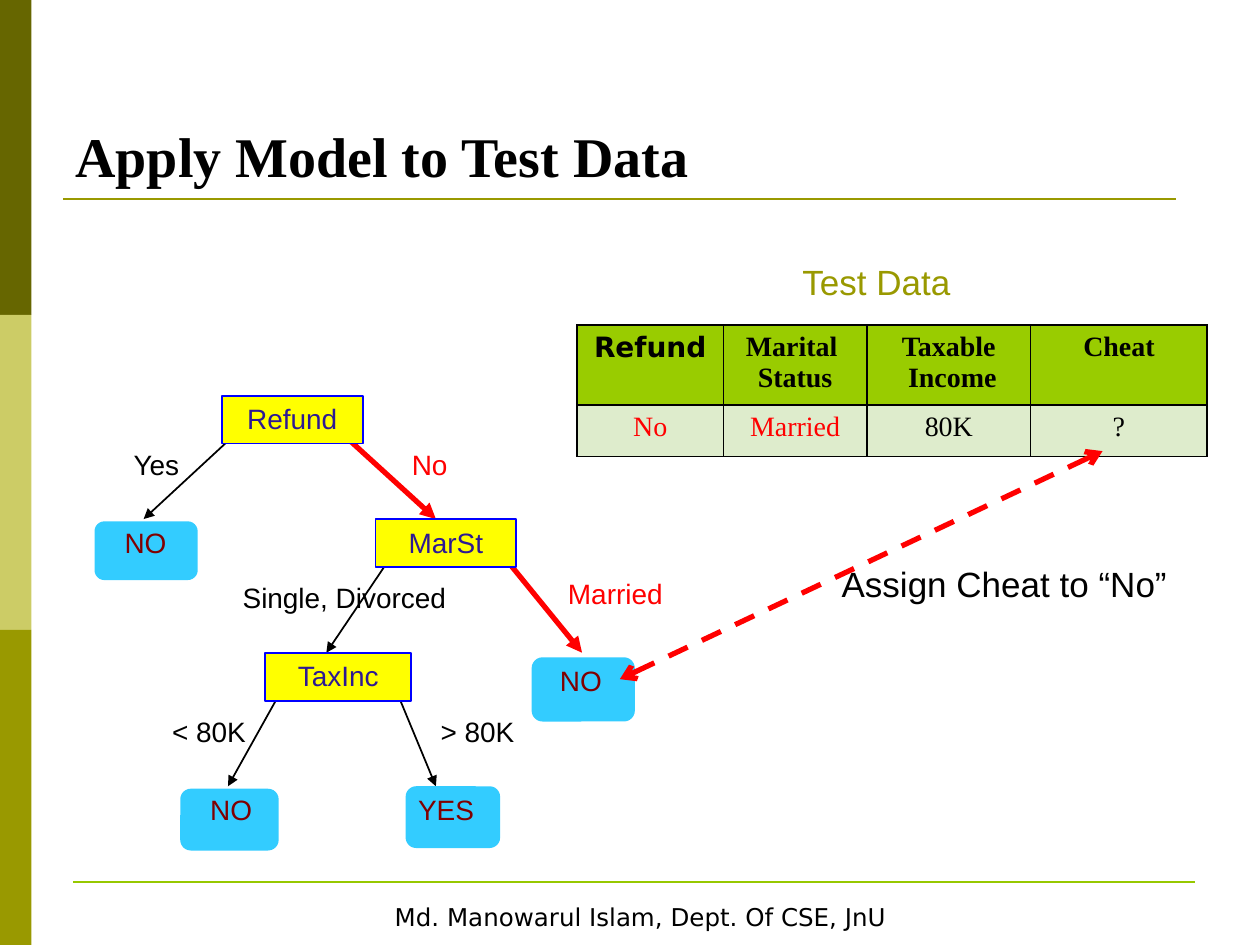
from lxml import etree
from pptx import Presentation
from pptx.dml.color import RGBColor
from pptx.enum.dml import MSO_LINE
from pptx.enum.shapes import MSO_CONNECTOR, MSO_SHAPE
from pptx.enum.text import MSO_ANCHOR, PP_ALIGN
from pptx.oxml.ns import qn
from pptx.util import Pt

LEFT, CENTER, RIGHT = PP_ALIGN.LEFT, PP_ALIGN.CENTER, PP_ALIGN.RIGHT
TOP, MIDDLE, BOTTOM = MSO_ANCHOR.TOP, MSO_ANCHOR.MIDDLE, MSO_ANCHOR.BOTTOM
RECT, ROUNDED = MSO_SHAPE.RECTANGLE, MSO_SHAPE.ROUNDED_RECTANGLE
STRAIGHT, DASH = MSO_CONNECTOR.STRAIGHT, MSO_LINE.DASH
SANS, SERIF, WIDE = "Arial", "Times New Roman", "DejaVu Sans"

COLORS = {
    "black": "000000", "white": "FFFFFF", "red": "FF0000",
    "dark olive": "666600", "pale olive": "CCCC66", "olive": "999900",
    "footer rule": "96C800", "node": "FFFF00", "node edge": "0000FF",
    "node text": "2D1993", "leaf": "33CCFF", "leaf text": "800000",
    "header": "99CC00", "record": "DEECCC",
}
RGB = {name: RGBColor.from_string(value) for name, value in COLORS.items()}

prs = Presentation()
prs.slide_width, prs.slide_height = Pt(720), Pt(540)
slide = prs.slides.add_slide(prs.slide_layouts[6])
shapes = slide.shapes


def write(frame, text, size=16, font=SANS, color="black", bold=False,
          align=CENTER, anchor=TOP, wrap=True, spacing=None):
    if wrap is not None:
        frame.word_wrap = wrap
        frame.vertical_anchor = anchor
    for number, line in enumerate(text.split("\n")):
        paragraph = frame.paragraphs[0] if number == 0 else frame.add_paragraph()
        paragraph.alignment = align
        if spacing:
            paragraph.line_spacing = spacing
        run = paragraph.add_run()
        run.text = line
        run.font.size = Pt(size)
        run.font.name = font
        run.font.bold = bold
        run.font.color.rgb = RGB[color]


def draw_line(start, end, color, width, heads=(), kind=None, dash=None):
    line = shapes.add_connector(STRAIGHT, *map(Pt, start + end))
    line.line.color.rgb = RGB[color]
    line.line.width = Pt(width)
    if dash:
        line.line.dash_style = dash
    outline = line.line._get_or_add_ln()
    for head in heads:
        etree.SubElement(outline, qn(f"a:{head}"), type=kind)
    etree.SubElement(line._element.spPr, qn("a:effectLst"))


for band, color in enumerate(["dark olive", "pale olive", "olive"]):
    stripe = shapes.add_shape(RECT, 0, Pt(180 * band), Pt(18), Pt(180))
    stripe.shadow.inherit = False
    stripe.fill.solid()
    stripe.fill.fore_color.rgb = RGB[color]
    stripe.line.fill.background()

draw_line((36, 113.8), (672, 113.8), "olive", 1.5)
draw_line((42, 504), (682.6, 504), "footer rule", 1.5)

footer = shapes.add_shape(RECT, Pt(36), Pt(511.2), Pt(660), Pt(25.2))
footer.shadow.inherit = False
footer.fill.solid()
footer.fill.fore_color.rgb = RGB["white"]
footer.line.color.rgb = RGB["white"]
footer.line.width = Pt(2)
write(footer.text_frame, "Md. Manowarul Islam, Dept. Of CSE, JnU", size=14,
      font=WIDE, anchor=MIDDLE, wrap=False)

title = shapes.add_textbox(Pt(36), Pt(21.6), Pt(648), Pt(90))
write(title.text_frame, "Apply Model to Test Data", size=32, font=SERIF,
      bold=True, align=LEFT, anchor=BOTTOM)

branches = [
    ((228.2, 398.9), (249.1, 449.3), "black", 1),
    ((158.4, 398.9), (130.3, 449.3), "black", 1),
    ((221, 321.8), (186.5, 373), "black", 1),
    ((290.9, 321.8), (332.6, 373), "red", 3),
    ((200.2, 252), (249.1, 296.6), "red", 3),
    ((130.3, 252), (82.1, 296.6), "black", 1),
]
for start, end, color, width in branches:
    draw_line(start, end, color, width, heads=["tailEnd"], kind="triangle")

nodes = [("Refund", 126.7, 226.1, 80.6), ("MarSt", 214.5, 296.6, 80.6),
         ("TaxInc", 151.6, 373, 83.5)]
for attribute, left, top, width in nodes:
    node = shapes.add_shape(RECT, Pt(left), Pt(top), Pt(width), Pt(27.4))
    node.shadow.inherit = False
    node.fill.solid()
    node.fill.fore_color.rgb = RGB["node"]
    node.line.color.rgb = RGB["node edge"]
    node.line.width = Pt(1)
    write(node.text_frame, attribute, color="node text")

leaves = [
    ("YES", (231.8, 449.3, 54, 35.3), (225.4, 449.3, 59)),
    ("NO", (103, 450.7, 56.2, 35.3), (113, 449.3, 38.2)),
    ("NO", (54, 297.9, 59, 33.6), (64.1, 296.6, 38.2)),
    ("NO", (303.8, 375.6, 59, 36.7), (312.5, 375.8, 38.9)),
]
for decision, bounds, (left, top, width) in leaves:
    leaf = shapes.add_shape(ROUNDED, *map(Pt, bounds))
    leaf.adjustments[0] = 0.17
    leaf.shadow.inherit = False
    leaf.fill.solid()
    leaf.fill.fore_color.rgb = RGB["leaf"]
    leaf.line.fill.background()
    label = shapes.add_textbox(Pt(left), Pt(top), Pt(width), Pt(26.6))
    write(label.text_frame, decision, color="leaf text", wrap=False)

conditions = [
    ("Yes", 67.7, 252, 41.8, "black"),
    ("No", 228.2, 252, 34.6, "red"),
    ("Married ", 316.8, 325.8, 73.4, "red"),
    ("Single, Divorced", 131, 328.3, 131, "black"),
    ("< 80K", 90.7, 404.6, 56.9, "black"),
    ("> 80K", 244.1, 404.6, 56.9, "black"),
]
for condition, left, top, width, color in conditions:
    label = shapes.add_textbox(Pt(left), Pt(top), Pt(width), Pt(26.6))
    write(label.text_frame, condition, color=color, align=RIGHT, wrap=False)

captions = [("Assign Cheat to “No”", 473.8, 322.6, 210.2, "black", LEFT),
            ("Test Data", 437.8, 149.8, 126, "olive", CENTER)]
for caption, left, top, width, color, align in captions:
    label = shapes.add_textbox(Pt(left), Pt(top), Pt(width), Pt(26.6))
    write(label.text_frame, caption, size=20, color=color, align=align, spacing=0.8)

records = [["Refund", "Marital \nStatus", "Taxable\n Income", "Cheat"],
           ["No", "Married", "80K", "?"]]
table = shapes.add_table(2, 4, Pt(329.8), Pt(185.8), Pt(360), Pt(75)).table
for column, width in zip(table.columns, [83.5, 82.1, 93.6, 100.8]):
    column.width = Pt(width)
for row, height in zip(table.rows, [45.7, 29.3]):
    row.height = Pt(height)
for r, record in enumerate(records):
    for c, value in enumerate(record):
        cell = table.cell(r, c)
        write(cell.text_frame, value, font=WIDE if r == c == 0 else SERIF,
              color="red" if r == 1 and c < 2 else "black", bold=r == 0, wrap=None)
        properties = cell._tc.get_or_add_tcPr()
        for side in ["lnL", "lnR", "lnT", "lnB"]:
            border = etree.SubElement(properties, qn(f"a:{side}"), w=str(Pt(1)))
            paint = etree.SubElement(border, qn("a:solidFill"))
            etree.SubElement(paint, qn("a:srgbClr"), val=COLORS["black"])
        cell.fill.solid()
        cell.fill.fore_color.rgb = RGB["record" if r else "header"]

draw_line((630, 257.8), (354.2, 388.1), "red", 3, heads=["headEnd", "tailEnd"],
          kind="arrow", dash=DASH)

prs.save("out.pptx")
